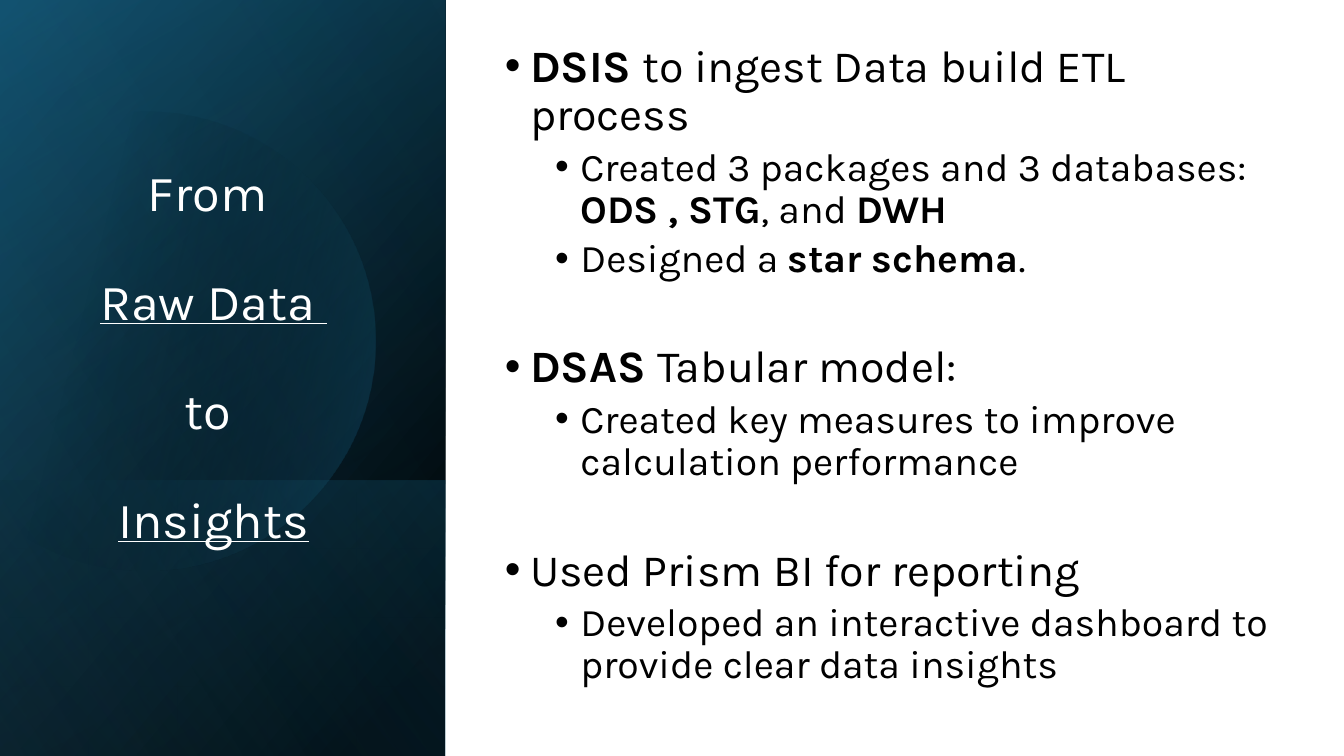
from itertools import pairwise
from math import cos, radians, sin, tan

from lxml.etree import SubElement
from pptx import Presentation
from pptx.dml.color import RGBColor
from pptx.enum.shapes import MSO_SHAPE
from pptx.enum.text import MSO_ANCHOR, MSO_AUTO_SIZE, PP_ALIGN
from pptx.oxml import parse_xml
from pptx.oxml.ns import nsdecls, qn
from pptx.util import Pt

FONT = "Karla"
WHITE, BLACK = "FFFFFF", "000000"
NAVY, TEAL, SKY = "104862", "156082", "46B1E1"
SLIDE_W, SLIDE_H = 960, 540
PANEL_W = 318

TITLE_LINES = [("From ", False), ("Raw Data ", True), ("to ", False), ("Insights", True)]

# Each point: level, then (text, bold) runs
POINTS = [
    (0, [("DSIS", True), (" to ingest Data build ETL process", False)]),
    (1, [("Created 3 packages and 3 databases: ", False), ("ODS , STG", True),
         (", and ", False), ("DWH", True)]),
    (1, [("Designed a ", False), ("star schema", True), (".", False)]),
    (0, [("DSAS ", True), ("Tabular model:", False)]),
    (1, [("Created key measures to improve calculation performance", False)]),
    (0, [("Used Prism BI for reporting", False)]),
    (1, [("Developed an interactive dashboard to provide clear data insights", False)]),
]
LEVELS = [{"size": 32, "indent": 36, "before": 45}, {"size": 28, "indent": 72, "before": 5}]

# Each layer: top, gradient stops (position, colour, opacity), angle
PANEL_LAYERS = [
    (0, [(8, BLACK, 100), (100, NAVY, 100)], 50),
    (0, [(0, BLACK, 0), (99, TEAL, 46)], 30),
    (343, [(2, TEAL, 29), (100, BLACK, 30)], 130),
]
GLOW = [(29, BLACK, 0), (100, TEAL, 43)]
SHEEN = (0, [(0, BLACK, 0), (99, SKY, 11)], 120)


def rgb(hex_colour):
    return RGBColor.from_string(hex_colour)


def set_gradient(shape, stops, angle):
    shape.shadow.inherit = False
    shape.line.fill.background()
    shape.fill.background()
    stop_xml = "".join(
        f'<a:gs pos="{position * 1000}"><a:srgbClr val="{colour}">'
        f'<a:alpha val="{opacity * 1000}"/></a:srgbClr></a:gs>'
        for position, colour, opacity in stops)
    gradient = parse_xml(
        f'<a:gradFill {nsdecls("a")} rotWithShape="1"><a:gsLst>{stop_xml}</a:gsLst>'
        f'<a:lin ang="{angle * 60000}" scaled="0"/></a:gradFill>')
    properties = shape._element.spPr
    properties.replace(properties.find(qn("a:noFill")), gradient)


def add_layer(slide, left, top, width, height, stops, angle):
    """Cover the box with a mirrored rectangle turned a quarter, so its gradient turns too."""
    shift = (width - height) / 2
    layer = slide.shapes.add_shape(MSO_SHAPE.RECTANGLE, Pt(left + shift), Pt(top - shift),
                                   Pt(height), Pt(width))
    layer.rotation = 90
    layer._element.spPr.xfrm.set("flipH", "1")
    set_gradient(layer, stops, angle)


def add_glow(slide, left, top):
    """Draw a disc that is cut off just beyond the panel's left edge."""
    centre_x, centre_y, radius = Pt(left + 104), Pt(top + 243.5), Pt(164)
    angles = [radians(degree) for degree in (-134, -90, 0, 90, 134)]

    def on_arc(angle, lead=0):
        """Point at the angle, moved along the tangent by lead radii."""
        return (round(centre_x + radius * (cos(angle) - lead * sin(angle))),
                round(centre_y + radius * (sin(angle) + lead * cos(angle))))

    anchors = [on_arc(angle) for angle in angles]
    builder = slide.shapes.build_freeform(*anchors[0])
    builder.add_line_segments(anchors[1:], close=True)
    glow = builder.convert_to_shape()
    sides = list(glow._element.iter(qn("a:lnTo")))
    for side, (start, end) in zip(sides, pairwise(angles)):
        lead = 4 / 3 * tan((end - start) / 4)
        side.tag = qn("a:cubicBezTo")
        for index, (x, y) in enumerate([on_arc(start, lead), on_arc(end, -lead)]):
            handle = parse_xml(f'<a:pt {nsdecls("a")} x="{x - glow.left}" y="{y - glow.top}"/>')
            side.insert(index, handle)
    set_gradient(glow, GLOW, 14)


def add_panel(slide, left, top, width, height):
    def cover(offset, stops, angle):
        add_layer(slide, left, top + offset, width, height - offset, stops, angle)

    for layer in PANEL_LAYERS:
        cover(*layer)
    add_glow(slide, left, top)
    cover(*SHEEN)


def add_run(paragraph, text, colour, **formats):
    run = paragraph.add_run()
    run.text = text
    for name, value in {"name": FONT, **formats}.items():
        setattr(run.font, name, value)
    run.font.color.rgb = rgb(colour)


def set_frame(frame, anchor):
    formats = {"word_wrap": True, "auto_size": MSO_AUTO_SIZE.NONE, "vertical_anchor": anchor}
    for name, value in formats.items():
        setattr(frame, name, value)


def next_paragraph(frame, index):
    return frame.add_paragraph() if index else frame.paragraphs[0]


def place_title(slide, left, top, width, height):
    title = slide.shapes.title
    slide.shapes._spTree.append(title._element)
    box = {"left": left, "top": top, "width": width, "height": height}
    for name, value in box.items():
        setattr(title, name, Pt(value))
    set_frame(title.text_frame, MSO_ANCHOR.BOTTOM)
    for index, (text, underlined) in enumerate(TITLE_LINES):
        line = next_paragraph(title.text_frame, index)
        line.alignment = PP_ALIGN.CENTER
        line.line_spacing = 0.9
        line.space_before = Pt(39 if index else 0)
        add_run(line, text, WHITE, size=Pt(36), underline=underlined)


def add_points(slide, left, top, width, height):
    frame = slide.shapes.add_textbox(Pt(left), Pt(top), Pt(width), Pt(height)).text_frame
    set_frame(frame, MSO_ANCHOR.MIDDLE)
    for index, (level, runs) in enumerate(POINTS):
        style = LEVELS[level]
        point = next_paragraph(frame, index)
        point.level = level
        point.line_spacing = 0.9
        point.space_before = Pt(style["before"] if index else 10)
        properties = point._p.get_or_add_pPr()
        properties.set("marL", str(Pt(style["indent"])))
        properties.set("indent", str(Pt(-18)))
        SubElement(properties, qn("a:buFont")).set("typeface", "Arial")
        SubElement(properties, qn("a:buChar")).set("char", "•")
        for text, bold in runs:
            add_run(point, text, BLACK, size=Pt(style["size"]), bold=bold)


def add_backdrop(slide):
    backdrop = slide.shapes.add_shape(MSO_SHAPE.RECTANGLE, 0, 0, Pt(SLIDE_W), Pt(SLIDE_H))
    backdrop.shadow.inherit = False
    backdrop.fill.solid()
    backdrop.fill.fore_color.rgb = rgb(WHITE)
    backdrop.line.fill.background()


def main():
    deck = Presentation()
    deck.slide_width, deck.slide_height = Pt(SLIDE_W), Pt(SLIDE_H)
    slide = deck.slides.add_slide(deck.slide_layouts[5])
    add_backdrop(slide)
    add_panel(slide, 0, 0, PANEL_W, SLIDE_H)
    place_title(slide, 26.6, 108, 252, 288)
    add_points(slide, 335.5, 15, 585.5, 492)
    deck.save("out.pptx")


if __name__ == "__main__":
    main()
